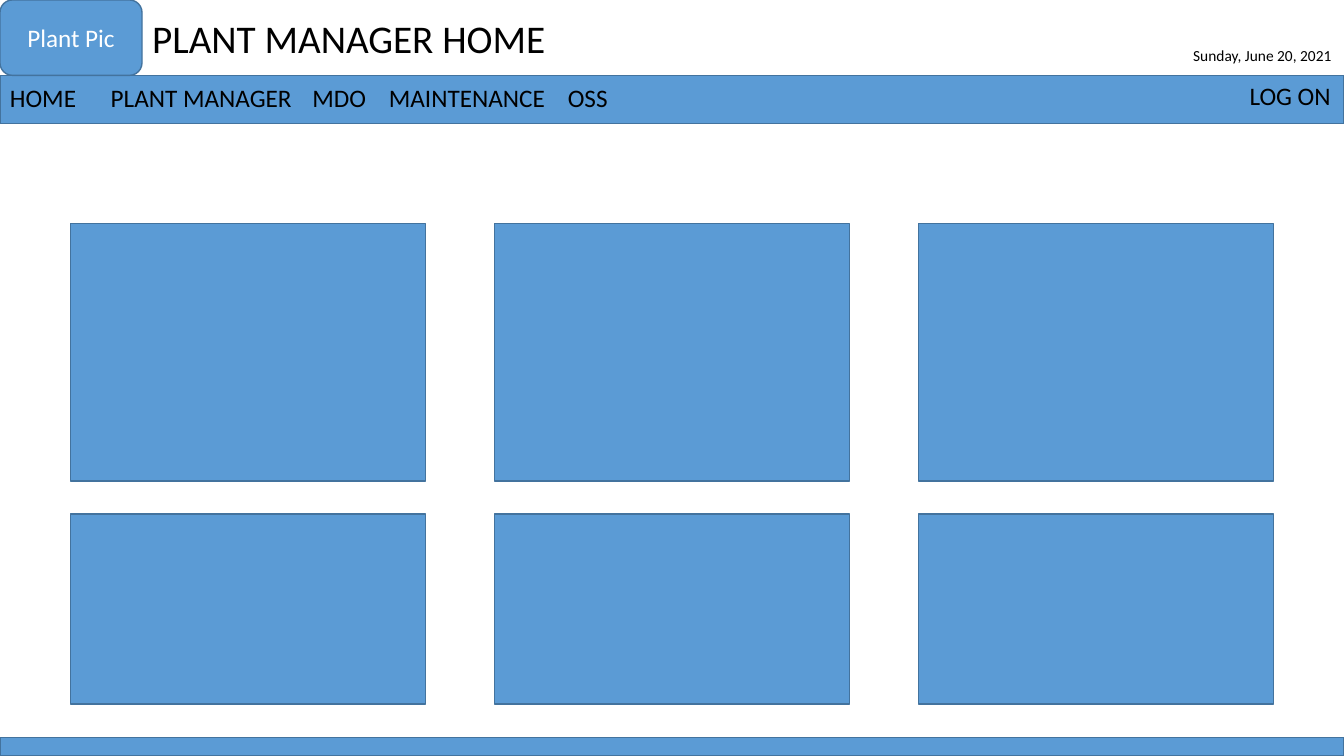
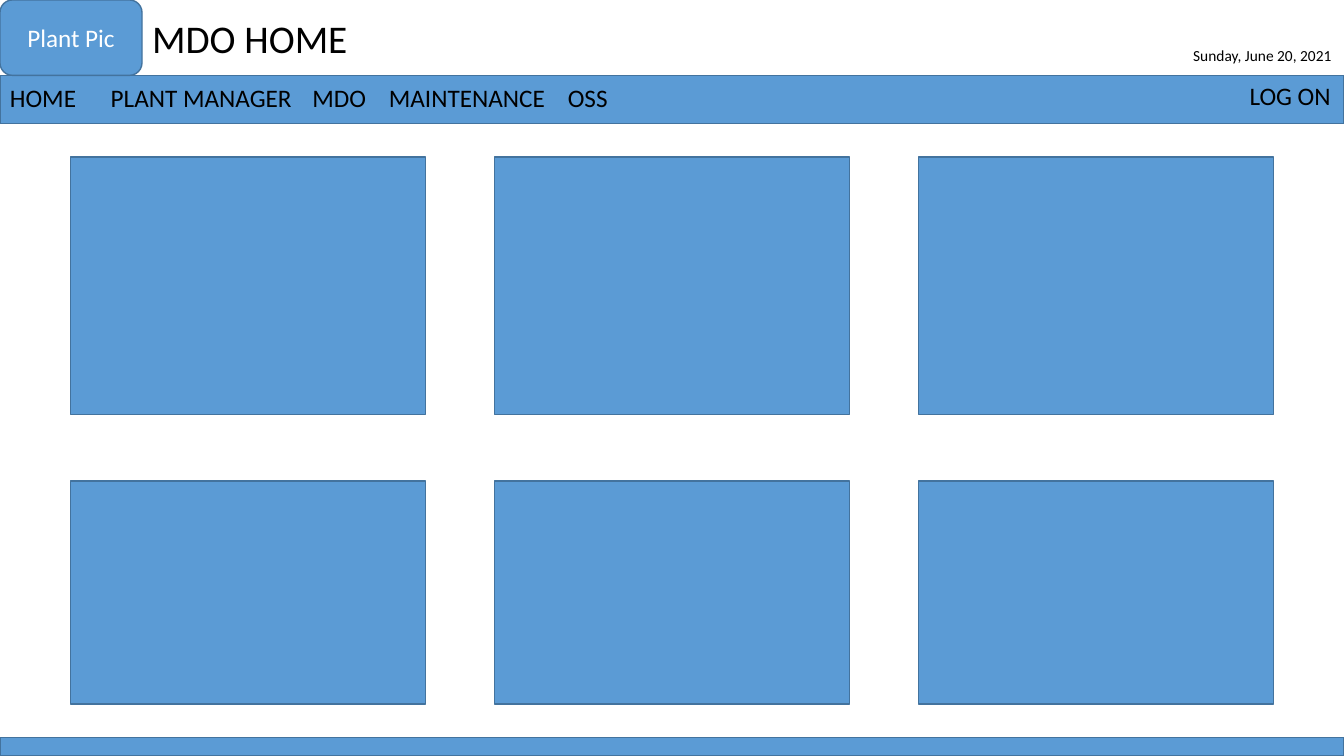
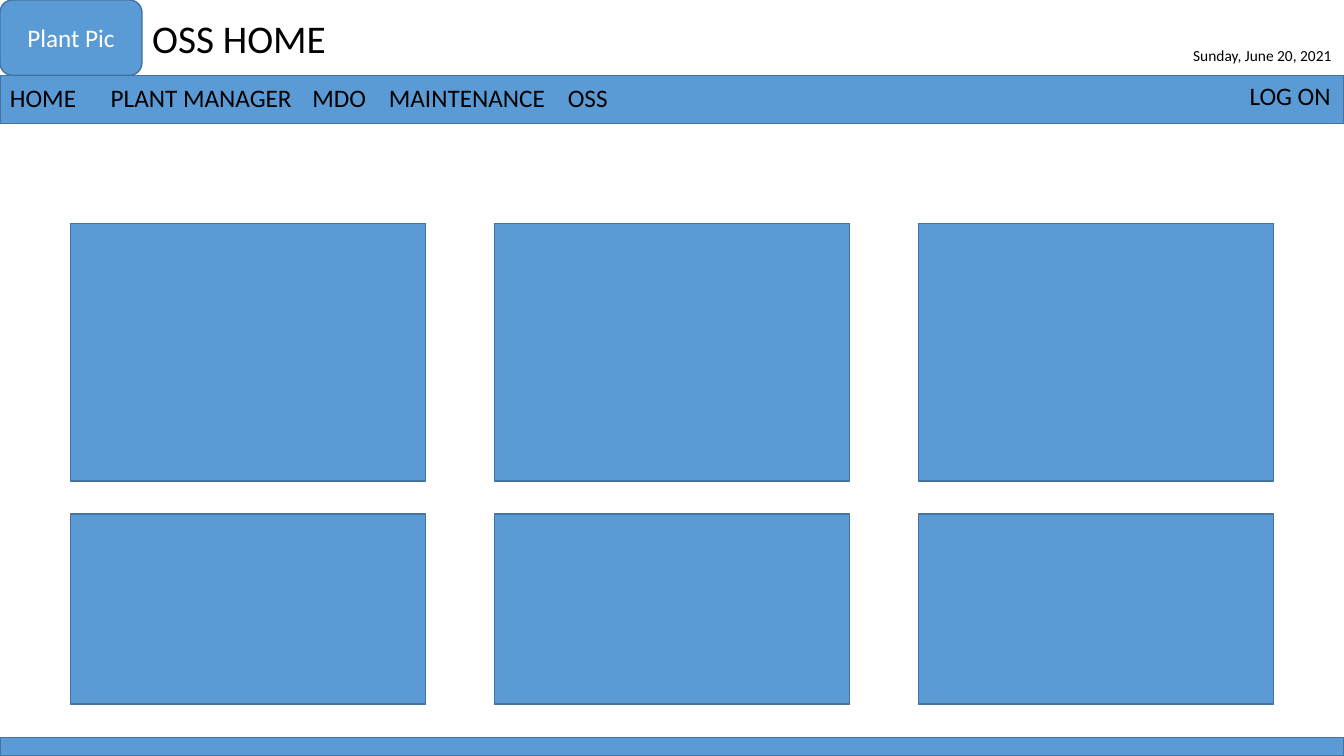
from pptx import Presentation
from pptx.dml.color import RGBColor
from pptx.enum import shapes, text
from pptx.oxml import xmlchemy
from pptx.oxml.ns import qn
from pptx.util import Cm, Pt
from lxml import etree

# Content: title, top of the upper cards, top of the lower cards (cm)
PAGES = [
    ("PLANT MANAGER HOME", 5.64, 12.95),
    ("MDO HOME", 3.96, 12.12),
    ("OSS HOME", 5.64, 12.95),
]
MENU = ["HOME", "PLANT MANAGER", "MDO", "MAINTENANCE", "OSS"]
STOPS = [2.54, 7.62, 9.55, 14.06]
LOGON = "LOG ON"
DATE = "Sunday, June 20, 2021"
BADGE = "Plant Pic"

# Shared style, lengths in cm
FONT, BLUE, EDGE, BLACK, WHITE = "Calibri", "5B9BD5", "43739E", "000000", "FFFFFF"
WIDE, HIGH = 33.87, 19.05
HEAD, FOOT = 1.9, 0.46
COLS, MARGIN, CARD_W, CARD_H, BASE = 3, 1.78, 8.94, 6.48, 17.74
GAP = (WIDE - 2 * MARGIN - COLS * CARD_W) / (COLS - 1)
RECT = shapes.MSO_SHAPE.RECTANGLE
ROUND = shapes.MSO_SHAPE.ROUNDED_RECTANGLE


def color(code):
    return RGBColor.from_string(code)


def write(shape, words, size, ink=BLACK, align=text.PP_ALIGN.LEFT,
          anchor=text.MSO_ANCHOR.TOP):
    frame = shape.text_frame
    frame.text = words
    frame.word_wrap = True
    frame.auto_size = text.MSO_AUTO_SIZE.NONE
    frame.vertical_anchor = anchor
    para = frame.paragraphs[0]
    para.alignment = align
    font = para.runs[0].font
    font.name, font.size = FONT, Pt(size)
    font.color.rgb = color(ink)
    return para


def block(slide, x, y, w, h, kind=RECT):
    shape = slide.shapes.add_shape(kind, Cm(x), Cm(y), Cm(w), Cm(h))
    shape.shadow.inherit = False
    shape.fill.solid()
    shape.fill.fore_color.rgb = color(BLUE)
    shape.line.color.rgb = color(EDGE)
    shape.line.width = Pt(1)
    return shape


def label(slide, words, size, x, y, w, h):
    box = slide.shapes.add_textbox(Cm(x), Cm(y), Cm(w), Cm(h))
    return write(box, words, size)


def set_tabs(para, stops):
    tabs = etree.SubElement(para._p.get_or_add_pPr(), qn("a:tabLst"))
    for stop in stops:
        etree.SubElement(tabs, qn("a:tab"), pos=str(Cm(stop)), algn="l")


def add_title(slide, words):
    title = slide.shapes.title
    title.left, title.top = Cm(3.58), Cm(0.23)
    title.width, title.height = Cm(11.89), Cm(1.45)
    write(title, words, 28)


def add_frame(slide):
    # Menu band
    block(slide, 0, HEAD, WIDE, 1.22)
    menu = label(slide, "\t".join(MENU), 18, 0, 1.96, 29.57, 1.02)
    set_tabs(menu, STOPS)
    label(slide, LOGON, 18, 31.24, HEAD, 2.64, 1.02)
    # Badge, date and footer band
    badge = block(slide, 0, 0, 3.58, HEAD, ROUND)
    write(badge, BADGE, 18, WHITE, text.PP_ALIGN.CENTER, text.MSO_ANCHOR.MIDDLE)
    label(slide, DATE, 11, 29.82, 1.04, 4.05, 0.74)
    block(slide, 0, HIGH - FOOT, WIDE, FOOT)


def add_cards(slide, upper, lower):
    for y, h in ((upper, CARD_H), (lower, BASE - lower)):
        for col in range(COLS):
            block(slide, MARGIN + col * (CARD_W + GAP), y, CARD_W, h)


def main():
    deck = Presentation()
    deck.slide_width, deck.slide_height = Cm(WIDE), Cm(HIGH)
    for title, upper, lower in PAGES:
        slide = deck.slides.add_slide(deck.slide_layouts[5])
        add_title(slide, title)
        add_frame(slide)
        add_cards(slide, upper, lower)
    deck.save("out.pptx")


if __name__ == "__main__":
    main()
